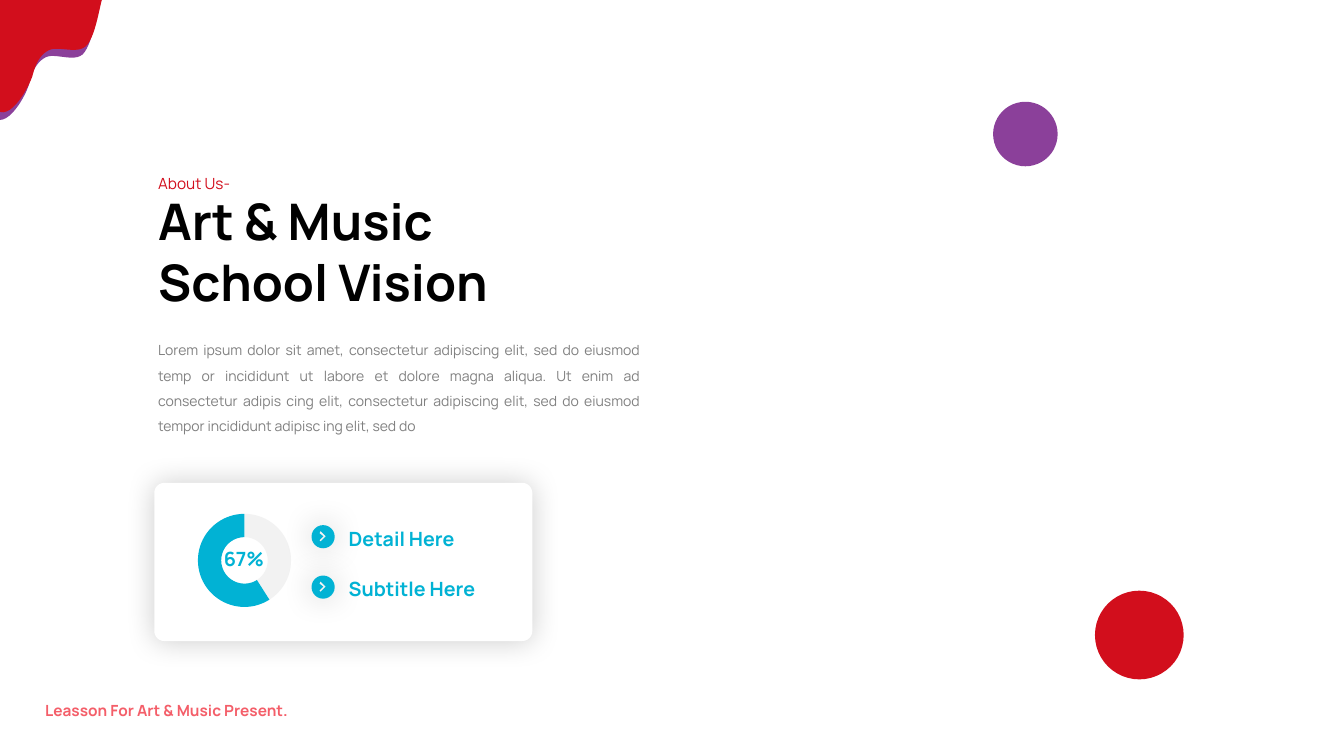
from lxml import etree
from pptx import Presentation
from pptx.chart.data import CategoryChartData as ChartData
from pptx.dml.color import RGBColor
from pptx.enum.chart import XL_CHART_TYPE as Kind
from pptx.enum.shapes import MSO_SHAPE as Shape
from pptx.enum.text import MSO_AUTO_SIZE as Fit, PP_ALIGN as Align
from pptx.oxml.ns import qn
from pptx.util import Pt

PX = 9144
FONT = "Manrope"
RED = RGBColor(0xD2, 0x0E, 0x1C)
PURPLE = RGBColor(0x8B, 0x40, 0x9A)
CORAL = RGBColor(0xF4, 0x5E, 0x69)
CYAN = RGBColor(0x01, 0xB2, 0xD4)
GRAY = RGBColor(0x80, 0x80, 0x80)
PALE = RGBColor(0xF2, 0xF2, 0xF2)
WHITE = RGBColor(0xFF, 0xFF, 0xFF)
BLACK = RGBColor(0, 0, 0)

BODY = (
    "Lorem ipsum dolor sit amet, consectetur adipiscing elit, sed do eiusmod "
    "temp or incididunt ut labore et dolore magna aliqua. Ut enim ad "
    "consectetur adipis cing elit, consectetur adipiscing elit, sed do eiusmod "
    "tempor incididunt adipisc ing elit, sed do"
)
BACK = [
    (98, 8), (95, 18, 91, 45, 82, 54), (73, 62, 54, 52, 45, 57),
    (36, 62, 32, 71, 29, 83), (26, 94, 12, 119, 0, 119), (0, 8),
]
FRONT = [
    (101, 0), (98, 11, 94, 38, 85, 46), (76, 54, 57, 45, 48, 50),
    (39, 55, 35, 64, 32, 76), (28, 87, 13, 115, 0, 111), (0, 0),
]
ARROW = [(8, 8), (12, 11), (8, 15), (9, 16), (14, 11), (9, 6)]


def px(*nums):
    return [round(num * PX) for num in nums]


def paint(shape, color):
    shape.shadow.inherit = False
    shape.fill.solid()
    shape.fill.fore_color.rgb = color
    shape.line.fill.background()
    return shape


def glow(shape, blur):
    effects = shape._element.spPr.find(qn("a:effectLst"))
    shade = etree.SubElement(
        effects, qn("a:outerShdw"), blurRad=str(Pt(blur)), dist="0",
        dir="0", algn="ctr", rotWithShape="0")
    tint = etree.SubElement(shade, qn("a:srgbClr"), val="000000")
    etree.SubElement(tint, qn("a:alpha"), val="20000")


def disc(slide, x, y, size, color):
    return paint(slide.shapes.add_shape(Shape.OVAL, *px(x, y, size, size)), color)


def write(slide, box, text, size, color, bold=False, align=Align.LEFT, gap=1.5):
    frame = slide.shapes.add_textbox(*px(*box)).text_frame
    frame.word_wrap = True
    frame.auto_size = Fit.SHAPE_TO_FIT_TEXT
    frame.text = text
    para = frame.paragraphs[0]
    para.alignment = align
    para.line_spacing = gap
    font = para.runs[0].font
    font.name, font.size, font.bold = FONT, Pt(size), bold
    font.color.rgb = color


def trace(steps):
    dots = [steps[0]]
    for step in steps[1:]:
        if len(step) == 2:
            dots.append(step)
            continue
        ends = [dots[-1], step[:2], step[2:4], step[4:]]
        for num in range(1, 13):
            t = num / 12
            parts = ((1 - t) ** 3, 3 * t * (1 - t) ** 2, 3 * t * t * (1 - t), t ** 3)
            dots.append(tuple(sum(p * end[axis] for p, end in zip(parts, ends))
                              for axis in (0, 1)))
    return dots


def outline(slide, x, y, steps, color):
    dots = [px(x + left, y + top) for left, top in trace(steps)]
    form = slide.shapes.build_freeform(*dots[0])
    form.add_line_segments(dots[1:], close=True)
    return paint(form.convert_to_shape(), color)


def corner(slide, x, y):
    outline(slide, x, y, BACK, PURPLE)
    outline(slide, x, y, FRONT, RED)


def intro(slide, x, y, wide):
    write(slide, (x, y + 25, 352, 131), "Art & Music School Vision", 36, BLACK, True, gap=1)
    write(slide, (x, y, 168, 35), "About Us-", 11, RED, align=Align.JUSTIFY)
    write(slide, (x, y + 167, wide, 109), BODY, 10, GRAY, align=Align.JUSTIFY)


def donut(slide, x, y, wide, high):
    data = ChartData()
    data.categories = ["1", "2"]
    data.add_series("Series 1", (41, 59))
    chart = slide.shapes.add_chart(Kind.DOUGHNUT, *px(x, y, wide, high), data).chart
    chart.has_legend = False
    chart.has_title = False
    chart.font.name, chart.font.size = FONT, Pt(10)
    chart.font.color.rgb = BLACK
    plot = chart.plots[0]
    plot.vary_by_categories = True
    for num, color in enumerate((PALE, CYAN)):
        part = plot.series[0].points[num].format
        part.fill.solid()
        part.fill.fore_color.rgb = color
        part.line.fill.background()
    for hole in chart._chartSpace.iter(qn("c:holeSize")):
        hole.set("val", "75")
    write(slide, (x + 16, y + 42, 88, 34), "67%", 14, CYAN, True, Align.CENTER, 1)


def detail(slide, x, y, text):
    glow(disc(slide, x, y, 23, CYAN), 23)
    outline(slide, x, y, ARROW, PALE)
    write(slide, (x + 27, y - 15, 191, 42), text, 14, CYAN, True)


def card(slide, x, y, wide, high):
    panel = slide.shapes.add_shape(Shape.ROUNDED_RECTANGLE, *px(x, y, wide, high))
    panel.adjustments[0] = 0.064
    glow(paint(panel, WHITE), 21)
    donut(slide, x + 29, y + 17, 121, 120)
    for num, text in enumerate(("Detail Here", "Subtitle Here")):
        detail(slide, x + 156, y + 42 + 50 * num, text)


def main():
    deck = Presentation()
    deck.slide_width, deck.slide_height = px(1333, 750)
    slide = deck.slides.add_slide(deck.slide_layouts[6])
    disc(slide, 1086, 586, 88, RED)
    disc(slide, 985, 101, 64, PURPLE)
    corner(slide, 0, 0)
    write(slide, (35, 681, 375, 35), "Leasson For Art & Music Present.",
          11, CORAL, True, Align.JUSTIFY)
    intro(slide, 147, 159, 497)
    card(slide, 153, 479, 375, 157)
    deck.save("out.pptx")


if __name__ == "__main__":
    main()
